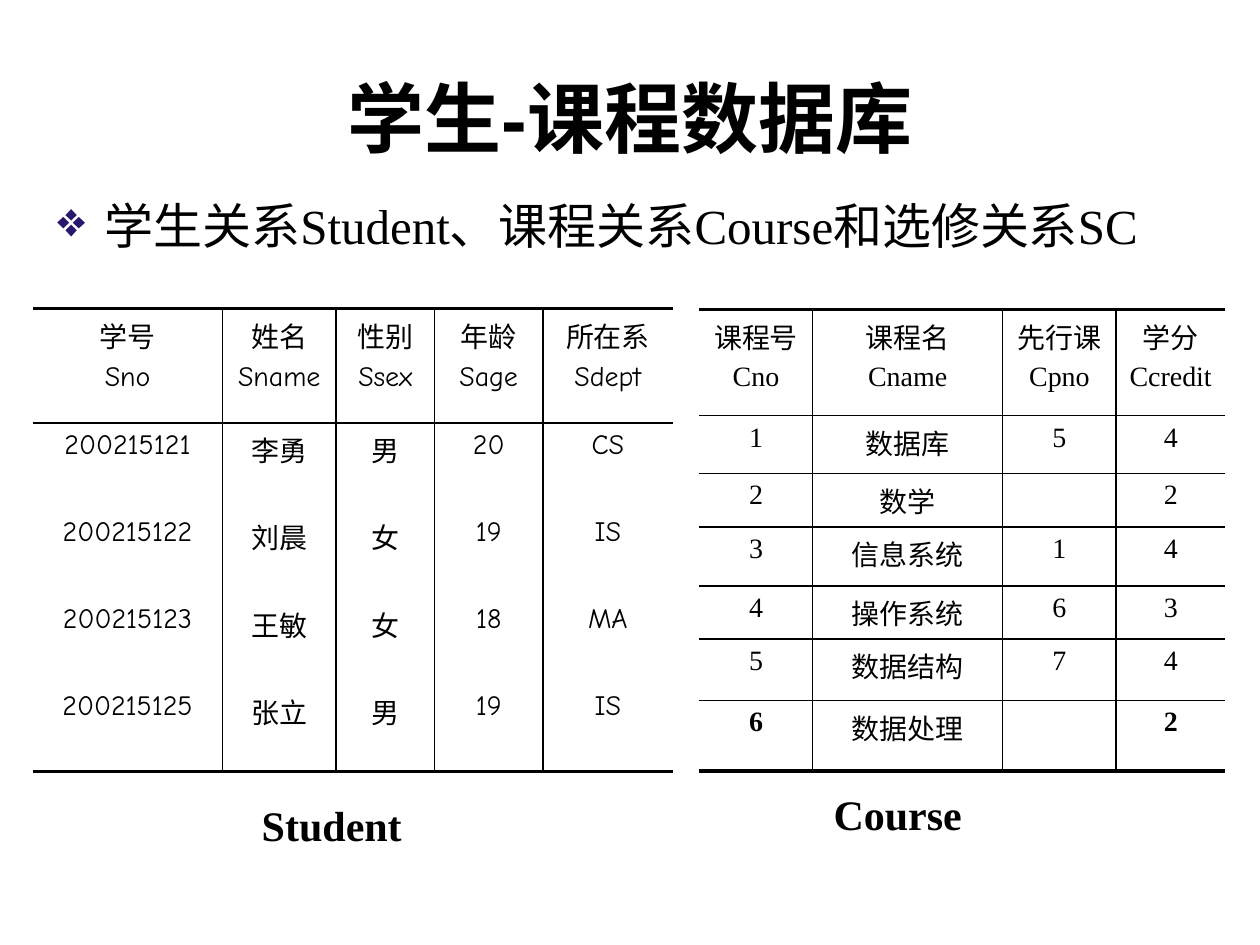
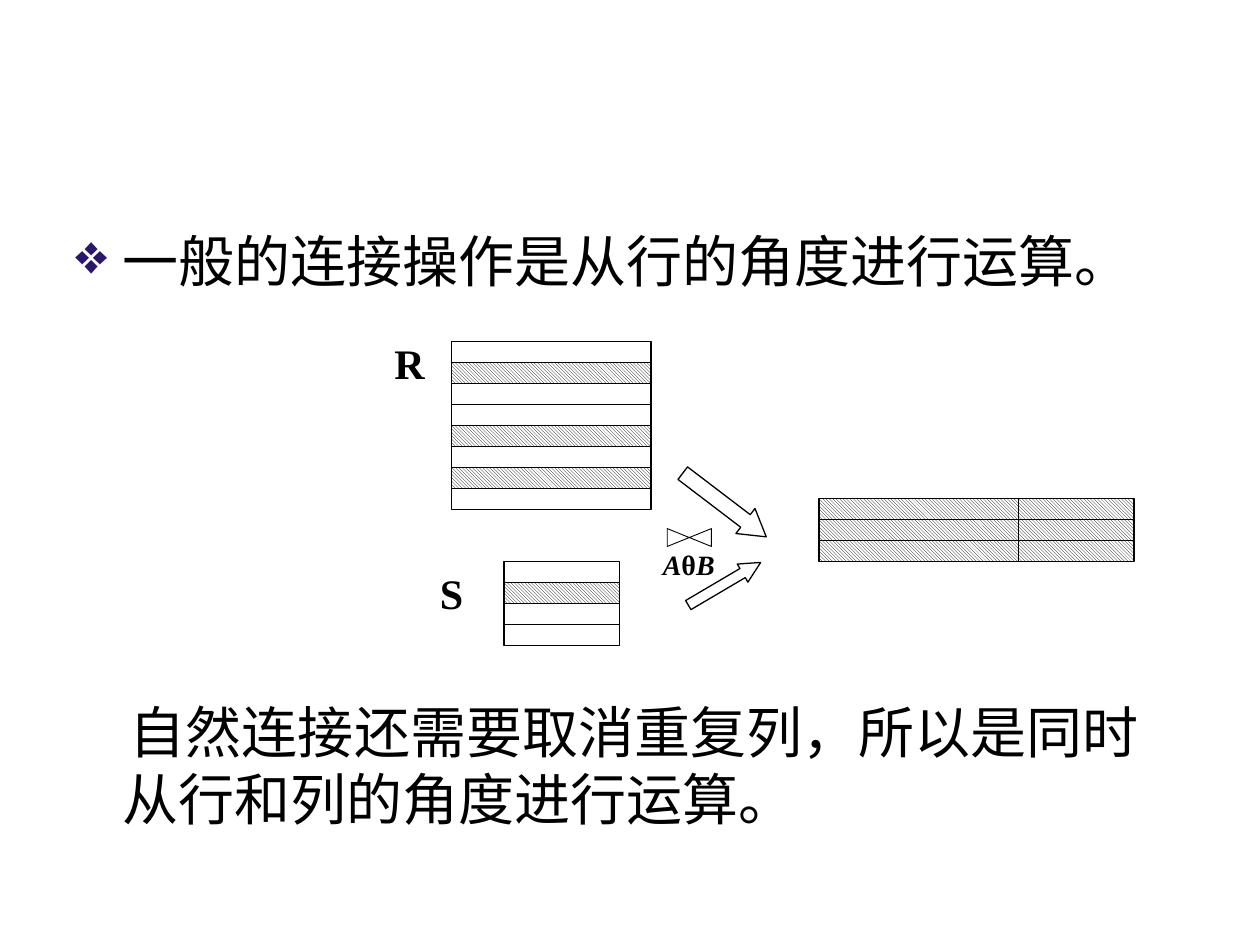
from dataclasses import dataclass
from itertools import product

from lxml.etree import SubElement
from pptx import Presentation
from pptx.dml.color import RGBColor
from pptx.enum.dml import MSO_PATTERN as Pattern
from pptx.enum.lang import MSO_LANGUAGE_ID as Language
from pptx.enum.shapes import MSO_SHAPE as Shape
from pptx.enum.text import MSO_ANCHOR as Anchor, MSO_AUTO_SIZE as AutoSize, PP_ALIGN as Align
from pptx.oxml.ns import qn
from pptx.util import Emu, Pt

EMU_PER_PX = 7620  # 120 px to the inch


@dataclass(frozen=True)
class Theme:
    ink: str = "000000"
    paper: str = "FFFFFF"
    bullet: str = "2B166E"
    title_font: str = "Arial"
    text_font: str = "Times New Roman"
    hand_font: str = "Comic Neue"
    title_size: int = 44
    lead_size: int = 28
    body_size: int = 32
    label_size: int = 24
    small_size: int = 16
    thin: float = 1
    outline: float = 0.75
    hairline: float = 0.5


THEME = Theme()


@dataclass(frozen=True)
class Box:
    left: int
    top: int
    width: int
    height: int

    def emu(self) -> tuple[Emu, ...]:
        return tuple(px(n) for n in (self.left, self.top, self.width, self.height))


@dataclass(frozen=True)
class Span:
    text: str
    italic: bool = False


@dataclass(frozen=True)
class Relation:
    left: int
    top: int
    columns: tuple[int, ...]
    heights: tuple[int, ...]
    rows: tuple[tuple[str, ...], ...]
    font: str
    frame_line: float
    row_lines: bool
    bold_cells: tuple[tuple[int, int], ...] = ()


@dataclass(frozen=True)
class Stack:
    """A column of equal rows; the listed rows are hatched."""
    left: int
    top: int
    width: int
    count: int
    hatched: tuple[int, ...]


@dataclass(frozen=True)
class Arrow:
    box: Box
    rotation: float
    head: float


@dataclass(frozen=True)
class Label:
    text: str
    box: Box


STUDENT = Relation(
    31, 294, (181, 108, 94, 103, 124), (109, 83, 83, 83, 83),
    (("学号\nSno", "姓名\nSname", "性别\nSsex", "年龄\nSage", "所在系\nSdept"),
     ("200215121", "李勇", "男", "20", "CS"),
     ("200215122", "刘晨", "女", "19", "IS"),
     ("200215123", "王敏", "女", "18", "MA"),
     ("200215125", "张立", "男", "19", "IS")),
    THEME.hand_font, frame_line=2.25, row_lines=False)

COURSE = Relation(
    666, 295, (108, 181, 108, 104), (101, 55, 51, 56, 50, 59, 67),
    (("课程号\nCno", "课程名\nCname", "先行课\nCpno", "学分\nCcredit"),
     ("1", "数据库", "5", "4"),
     ("2", "数学", "", "2"),
     ("3", "信息系统", "1", "4"),
     ("4", "操作系统", "6", "3"),
     ("5", "数据结构", "7", "4"),
     ("6", "数据处理", "", "2")),
    THEME.text_font, frame_line=2, row_lines=True, bold_cells=((6, 0), (6, 3)))

TABLE_LABELS = (Label("Student", Box(256, 745, 120, 80)),
                Label("Course", Box(782, 745, 146, 60)))

ROW_HEIGHT = 20
STACKS = (Stack(430, 325, 190, 8, (1, 4, 6)),
          Stack(480, 535, 110, 4, (1,)),
          Stack(780, 475, 190, 3, (0, 1, 2)),
          Stack(970, 475, 110, 3, (0, 1, 2)))
ARROWS = (Arrow(Box(640, 466, 100, 30), 37.3, 0.83),
          Arrow(Box(650, 546, 80, 20), 329.5, 1))
STACK_LABELS = (Label("R", Box(360, 316, 60, 60)),
                Label("S", Box(400, 535, 60, 60)))


def px(length: int) -> Emu:
    return Emu(length * EMU_PER_PX)


def color(code: str) -> RGBColor:
    return RGBColor.from_string(code)


def write(frame, *paras, size: float, font: str = THEME.text_font, bold: bool = False,
          align: Align = Align.LEFT, space_before: int = 0, margin: int = 0,
          indent: int = 0, bullet: str = "") -> None:
    """Fill a text frame; a para is a string or a tuple of spans."""
    for index, content in enumerate(paras):
        para = frame.paragraphs[0] if index == 0 else frame.add_paragraph()
        para.alignment = align
        props = para._p.get_or_add_pPr()
        props.set("marL", str(px(margin)))
        props.set("indent", str(px(indent)))
        if space_before:
            before = SubElement(props, qn("a:spcBef"))
            SubElement(before, qn("a:spcPct")).set("val", str(space_before * 1000))
        if bullet:
            tint = SubElement(props, qn("a:buClr"))
            SubElement(tint, qn("a:srgbClr")).set("val", THEME.bullet)
            SubElement(props, qn("a:buChar")).set("char", bullet)
        else:
            SubElement(props, qn("a:buNone"))
        for span in (Span(content),) if isinstance(content, str) else content:
            run = para.add_run()
            run.text = span.text
            run.font.size = Pt(size)
            run.font.name = font
            run.font.bold = bold
            run.font.italic = span.italic
            run.font.color.rgb = color(THEME.ink)
            run.font.language_id = Language.SIMPLIFIED_CHINESE


def add_text(slide, box: Box, *paras, wrap: bool = True, grow: bool = False,
             anchor: Anchor = Anchor.TOP, **style) -> None:
    frame = slide.shapes.add_textbox(*box.emu()).text_frame
    frame.word_wrap = wrap
    frame.auto_size = AutoSize.SHAPE_TO_FIT_TEXT if grow else AutoSize.NONE
    frame.vertical_anchor = anchor
    write(frame, *paras, **style)


def add_bullet_text(slide, box: Box, text: str, size: int) -> None:
    add_text(slide, box, text, size=size, space_before=20, margin=45, indent=-45, bullet="❖")


def set_border(cell, side: str, width: float) -> None:
    """Draw one cell edge, or hide it when the width is 0."""
    line = SubElement(cell._tc.get_or_add_tcPr(), qn(f"a:ln{side}"))
    line.set("w", str(Pt(width)))
    if width:
        fill = SubElement(line, qn("a:solidFill"))
        SubElement(fill, qn("a:srgbClr")).set("val", THEME.ink)
    else:
        SubElement(line, qn("a:noFill"))


def add_relation(slide, relation: Relation) -> None:
    row_count, column_count = len(relation.heights), len(relation.columns)
    box = Box(relation.left, relation.top, sum(relation.columns), sum(relation.heights))
    table = slide.shapes.add_table(row_count, column_count, *box.emu()).table
    table.first_row = table.horz_banding = False
    for column, width in zip(table.columns, relation.columns):
        column.width = px(width)
    for row, height in zip(table.rows, relation.heights):
        row.height = px(height)

    def row_edge(edge: int) -> float:
        if edge in (0, row_count):
            return relation.frame_line
        return THEME.thin if edge == 1 or relation.row_lines else 0

    def column_edge(edge: int) -> float:
        return THEME.thin if 0 < edge < column_count else 0

    for r, c in product(range(row_count), range(column_count)):
        cell = table.cell(r, c)
        text = relation.rows[r][c]
        if text:
            write(cell.text_frame, *text.split("\n"), size=THEME.small_size,
                  font=relation.font, bold=(r, c) in relation.bold_cells,
                  align=Align.CENTER, space_before=20)
        set_border(cell, "L", column_edge(c))
        set_border(cell, "R", column_edge(c + 1))
        set_border(cell, "T", row_edge(r))
        set_border(cell, "B", row_edge(r + 1))
        cell.fill.solid()
        cell.fill.fore_color.rgb = color(THEME.paper)


def add_outlined(slide, kind: Shape, box: Box, hatched: bool = False,
                 rotation: float = 0, line: float = THEME.outline):
    shape = slide.shapes.add_shape(kind, *box.emu())
    shape.shadow.inherit = False
    shape.rotation = rotation
    shape.line.color.rgb = color(THEME.ink)
    shape.line.width = Pt(line)
    if hatched:
        shape.fill.patterned()
        shape.fill.pattern = Pattern.LIGHT_DOWNWARD_DIAGONAL
        shape.fill.fore_color.rgb = color(THEME.ink)
        shape.fill.back_color.rgb = color(THEME.paper)
    else:
        shape.fill.solid()
        shape.fill.fore_color.rgb = color(THEME.paper)
    return shape


def add_stack(slide, stack: Stack) -> None:
    for row in range(stack.count):
        box = Box(stack.left, stack.top + row * ROW_HEIGHT, stack.width, ROW_HEIGHT)
        add_outlined(slide, Shape.RECTANGLE, box, hatched=row in stack.hatched)


def add_arrow(slide, arrow: Arrow) -> None:
    shape = add_outlined(slide, Shape.RIGHT_ARROW, arrow.box, rotation=arrow.rotation)
    shape.adjustments[0] = 0.5
    shape.adjustments[1] = arrow.head


def build_database_slide(deck) -> None:
    slide = deck.slides.add_slide(deck.slide_layouts[5])
    title = slide.shapes.title
    title.left, title.top, title.width, title.height = Box(60, 36, 1080, 150).emu()
    title.text_frame.vertical_anchor = Anchor.MIDDLE
    write(title.text_frame, "学生-课程数据库", size=THEME.title_size,
          font=THEME.title_font, bold=True, align=Align.CENTER)
    add_bullet_text(slide, Box(43, 180, 1080, 110),
                    "学生关系Student、课程关系Course和选修关系SC", THEME.lead_size)
    for relation in (STUDENT, COURSE):
        add_relation(slide, relation)
    for label, anchor in zip(TABLE_LABELS, (Anchor.MIDDLE, Anchor.TOP)):
        add_text(slide, label.box, label.text, wrap=False, anchor=anchor,
                 size=THEME.label_size, bold=True, align=Align.CENTER)


def build_join_slide(deck) -> None:
    slide = deck.slides.add_slide(deck.slide_layouts[6])
    add_bullet_text(slide, Box(60, 210, 1080, 90),
                    "一般的连接操作是从行的角度进行运算。", THEME.body_size)
    add_text(slide, Box(60, 658, 1080, 150),
             "自然连接还需要取消重复列，所以是同时从行和列的角度进行运算。",
             size=THEME.body_size, space_before=20, margin=45, indent=7)
    for stack in STACKS:
        add_stack(slide, stack)
    for arrow in ARROWS:
        add_arrow(slide, arrow)
    add_outlined(slide, Shape.FLOWCHART_COLLATE, Box(648, 491, 17, 42),
                 rotation=90, line=THEME.hairline)
    add_text(slide, Box(596, 492, 120, 90),
             (Span("A", italic=True), Span("θ"), Span("B", italic=True)),
             wrap=False, anchor=Anchor.MIDDLE, size=THEME.small_size,
             bold=True, align=Align.CENTER)
    for label in STACK_LABELS:
        add_text(slide, label.box, label.text, grow=True, size=THEME.label_size,
                 bold=True, align=Align.CENTER, space_before=50)


def main() -> None:
    deck = Presentation()
    deck.slide_width, deck.slide_height = px(1200), px(900)
    build_database_slide(deck)
    build_join_slide(deck)
    deck.save("out.pptx")


if __name__ == "__main__":
    main()
